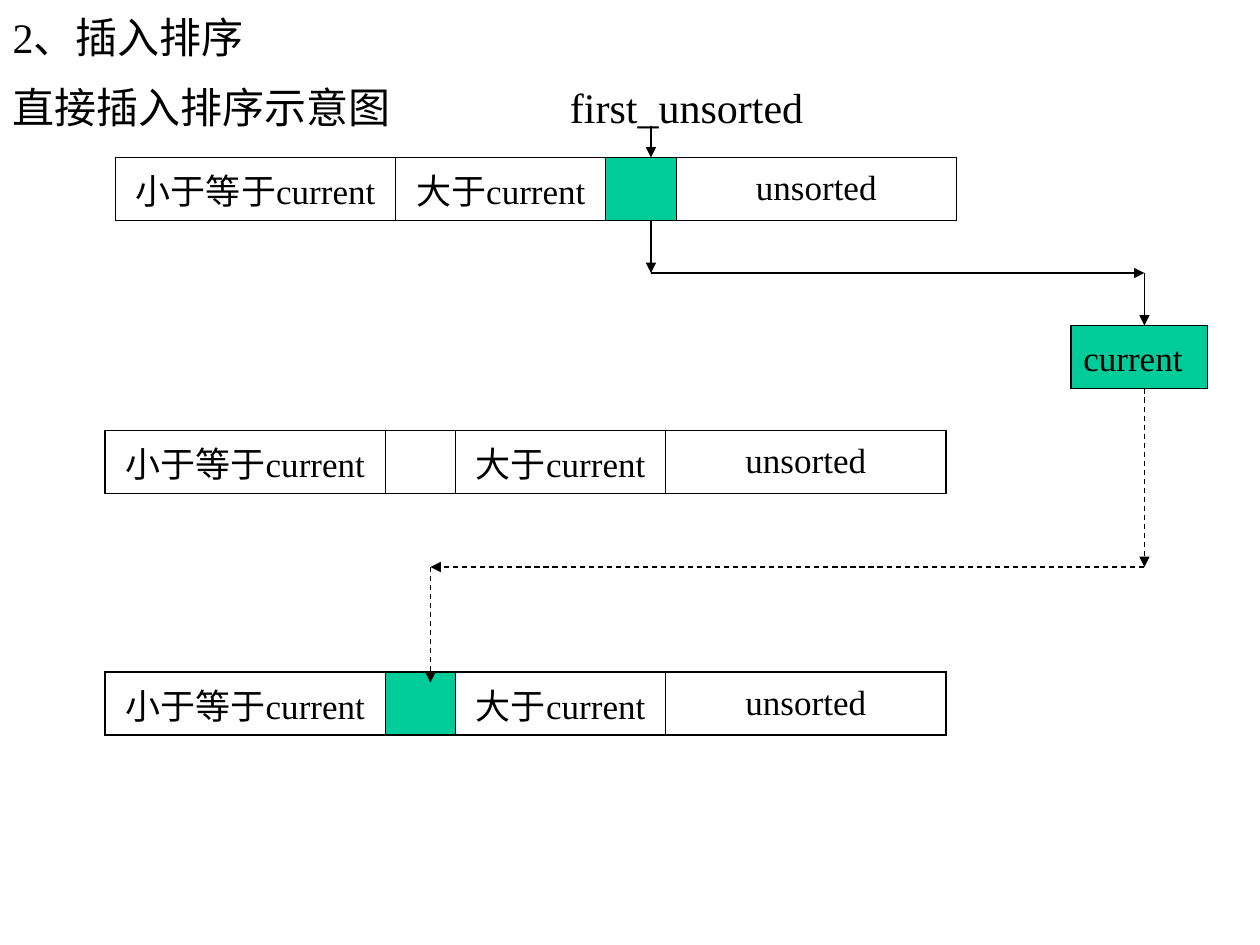
from dataclasses import dataclass

from lxml import etree
from pptx import Presentation
from pptx.dml.color import RGBColor
from pptx.enum.dml import MSO_LINE
from pptx.enum.shapes import MSO_CONNECTOR, MSO_SHAPE
from pptx.enum.text import MSO_ANCHOR, MSO_AUTO_SIZE, PP_ALIGN
from pptx.oxml import parse_xml
from pptx.oxml.ns import nsdecls, qn
from pptx.util import Emu, Pt

LEFT, CENTER = PP_ALIGN.LEFT, PP_ALIGN.CENTER
TOP, MIDDLE = MSO_ANCHOR.TOP, MSO_ANCHOR.MIDDLE
FIXED = MSO_AUTO_SIZE.NONE
DASH = MSO_LINE.DASH
RECT = MSO_SHAPE.RECTANGLE
STRAIGHT = MSO_CONNECTOR.STRAIGHT
SCALE = 7620


@dataclass(frozen=True)
class Theme:
    font: str = "Times New Roman"
    ink: str = "000000"
    mark: str = "00CC99"
    head: int = 24
    label: int = 20
    line: float = 0.75
    outer: float = 1.08
    inner: float = 0.45


THEME = Theme()
SMALLER = ("小于等于current", 267)
LARGER = ("大于current", 200)
SLOT = ("", 67)
REST = ("unsorted", 267)


def px(count):
    return Emu(count * SCALE)


def color(code):
    return RGBColor.from_string(code)


def write(frame, text, size, align=LEFT, anchor=MIDDLE):
    frame.word_wrap = True
    frame.vertical_anchor = anchor
    par = frame.paragraphs[0]
    par.alignment = align
    run = par.add_run()
    run.text = text
    run.font.name = THEME.font
    run.font.size = Pt(size)
    run.font.color.rgb = color(THEME.ink)
    return par


def add_title(slide, box, text):
    title = slide.shapes.title
    title.left, title.top, title.width, title.height = map(px, box)
    write(title.text_frame, text, THEME.head)
    title.text_frame.auto_size = FIXED


def add_intro(slide, box, text, label, stop):
    frame = slide.shapes.add_textbox(*map(px, box)).text_frame
    par = write(frame, f"{text}\t{label}", THEME.head, anchor=TOP)
    props = par._p.get_or_add_pPr()
    tabs = etree.SubElement(props, qn("a:tabLst"))
    etree.SubElement(tabs, qn("a:tab"), pos=str(px(stop)), algn="l")


def add_border(cell, side, width):
    cell._tc.get_or_add_tcPr().append(parse_xml(
        f'<a:ln{side} {nsdecls("a")} w="{Pt(width)}"><a:solidFill>'
        f'<a:srgbClr val="{THEME.ink}"/></a:solidFill></a:ln{side}>'))


def add_list(slide, left, top, parts, marked):
    width = sum(size for _, size in parts)
    shape = slide.shapes.add_table(1, len(parts), *map(px, (left, top, width, 60)))
    table = shape.table
    table.first_row = table.horz_banding = False
    last = len(parts) - 1
    for col, (text, size) in enumerate(parts):
        table.columns[col].width = px(size)
        cell = table.cell(0, col)
        cell.vertical_anchor = MIDDLE
        add_border(cell, "L", THEME.outer if col == 0 else THEME.inner)
        add_border(cell, "R", THEME.outer if col == last else THEME.inner)
        add_border(cell, "T", THEME.outer)
        add_border(cell, "B", THEME.outer)
        if text:
            par = write(cell.text_frame, text, THEME.label, CENTER)
            par.space_before = Pt(5)
        elif marked:
            cell.fill.solid()
            cell.fill.fore_color.rgb = color(THEME.mark)
            continue
        cell.fill.background()


def add_current(slide, box, text):
    shape = slide.shapes.add_shape(RECT, *map(px, box))
    shape.shadow.inherit = False
    shape.fill.solid()
    shape.fill.fore_color.rgb = color(THEME.mark)
    shape.line.color.rgb = color(THEME.ink)
    shape.line.width = Pt(THEME.line)
    write(shape.text_frame, text, THEME.label)


def add_route(slide, points, dash=None):
    for start, end in zip(points, points[1:]):
        arrow = slide.shapes.add_connector(STRAIGHT, *map(px, start + end))
        arrow.line.color.rgb = color(THEME.ink)
        arrow.line.width = Pt(THEME.line)
        if dash:
            arrow.line.dash_style = dash
        etree.SubElement(arrow.line._get_or_add_ln(), qn("a:tailEnd"), type="triangle")
        etree.SubElement(arrow._element.spPr, qn("a:effectLst"))


def main():
    deck = Presentation()
    deck.slide_width, deck.slide_height = px(1200), px(900)
    slide = deck.slides.add_slide(deck.slide_layouts[5])
    add_title(slide, (0, 0, 1020, 70), "2、插入排序")
    add_intro(slide, (0, 72, 1110, 780), "直接插入排序示意图", "first_unsorted", 531)
    add_list(slide, 110, 150, (SMALLER, LARGER, SLOT, REST), True)
    for top, marked in ((410, False), (640, True)):
        add_list(slide, 100, top, (SMALLER, SLOT, LARGER, REST), marked)
    add_current(slide, (1020, 310, 130, 60), "current")
    add_route(slide, ((620, 120), (620, 150)))
    add_route(slide, ((620, 210), (620, 260), (1090, 260), (1090, 310)))
    add_route(slide, ((1090, 370), (1090, 540), (410, 540), (410, 650)), DASH)
    deck.save("out.pptx")


if __name__ == "__main__":
    main()
